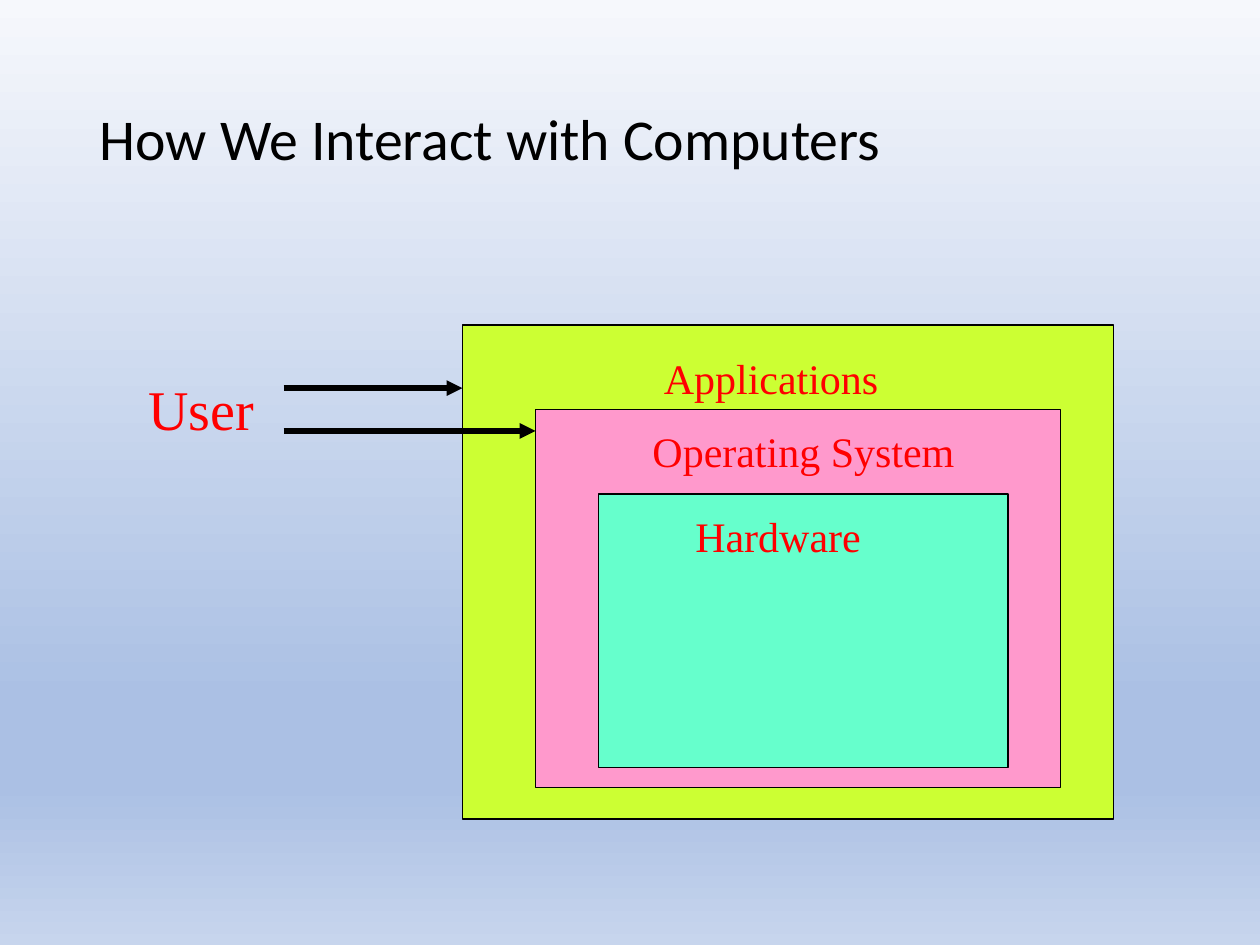
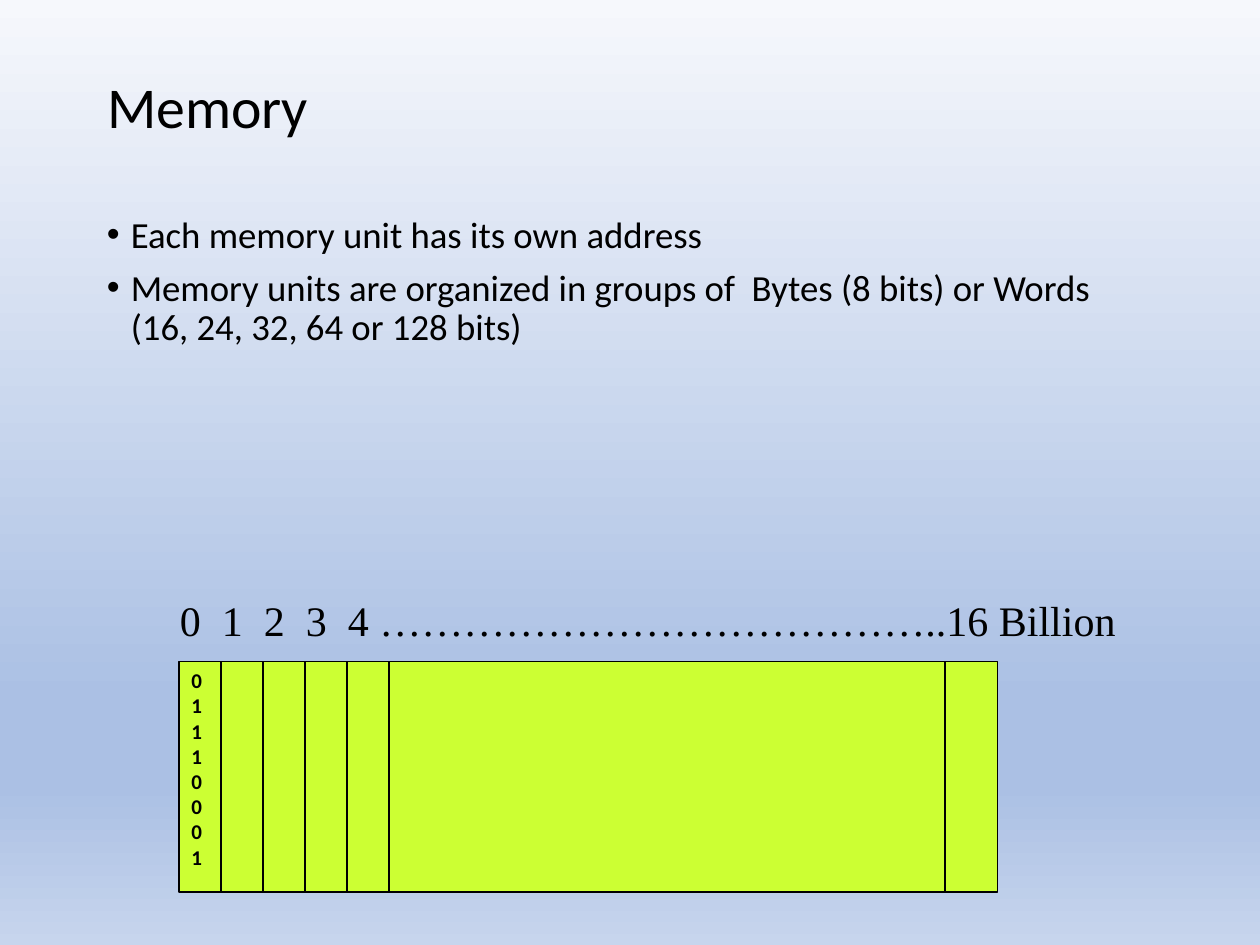
from dataclasses import dataclass

from lxml.etree import SubElement
from pptx import Presentation
from pptx.dml.color import RGBColor
from pptx.enum.shapes import MSO_CONNECTOR, MSO_SHAPE
from pptx.enum.text import MSO_ANCHOR, MSO_AUTO_SIZE, PP_ALIGN
from pptx.oxml.ns import qn
from pptx.util import Inches, Pt

COLORS = {
    "ink": "000000",
    "label": "FF0000",
    "lime": "CCFF33",
    "pink": "FF99CC",
    "aqua": "66FFCC",
    "sky_top": "F6F8FC",
    "sky_deep": "ABC0E4",
    "sky_base": "C7D5ED",
}
BACKDROP = [(0, "sky_top"), (74, "sky_deep"), (83, "sky_deep"), (100, "sky_base")]
SANS, SERIF = "Calibri", "Times New Roman"


@dataclass
class Box:
    left: float
    top: float
    width: float
    height: float

    def inside(self, left, top, width, height):
        return Box(self.left + left, self.top + top, width, height)

    def lengths(self):
        return [Inches(side) for side in (self.left, self.top, self.width, self.height)]


def color(name):
    return RGBColor.from_string(COLORS[name])


def paint_backdrop(master):
    fill = master.background.fill
    fill.gradient()
    fill.gradient_angle = 270
    stops = master.element.find(".//" + qn("a:gsLst"))
    for stop in list(stops):
        stops.remove(stop)
    for percent, name in BACKDROP:
        stop = SubElement(stops, qn("a:gs"), pos=str(percent * 1000))
        SubElement(stop, qn("a:srgbClr"), val=COLORS[name])


def write(paragraph, text, size, font=SANS, ink="ink", bold=False):
    paragraph.alignment = PP_ALIGN.LEFT
    run = paragraph.add_run()
    run.text = text
    run.font.size = Pt(size)
    run.font.name = font
    run.font.bold = bold
    run.font.color.rgb = color(ink)


def add_title(slide, box, text):
    title = slide.shapes.title
    title.left, title.top, title.width, title.height = box.lengths()
    frame = title.text_frame
    frame.auto_size = MSO_AUTO_SIZE.NONE
    frame.vertical_anchor = MSO_ANCHOR.MIDDLE
    frame.paragraphs[0].line_spacing = 0.9
    write(frame.paragraphs[0], text, 33)


def add_frame(slide, box):
    frame = slide.shapes.add_textbox(*box.lengths()).text_frame
    frame.word_wrap = True
    return frame


def add_paragraphs(frame, lines):
    for index, line in enumerate(lines):
        yield frame.add_paragraph() if index else frame.paragraphs[0], line


def add_label(slide, box, text, size=24):
    write(add_frame(slide, box).paragraphs[0], text, size, SERIF, "label")


def add_block(slide, box, fill):
    block = slide.shapes.add_shape(MSO_SHAPE.RECTANGLE, *box.lengths())
    block.shadow.inherit = False
    block.fill.solid()
    block.fill.fore_color.rgb = color(fill)
    block.line.color.rgb = color("ink")
    block.line.width = Pt(0.75)


def add_line(slide, start, end, width=0.75, arrow=False):
    points = [Inches(value) for value in (*start, *end)]
    line = slide.shapes.add_connector(MSO_CONNECTOR.STRAIGHT, *points)
    line.line.color.rgb = color("ink")
    line.line.width = Pt(width)
    properties = line.element.spPr
    if arrow:
        SubElement(properties.find(qn("a:ln")), qn("a:tailEnd"), type="triangle")
    SubElement(properties, qn("a:effectLst"))


def add_layers(slide, box):
    layers = [
        ("Applications", "lime", (0, 0, 5.17, 3.92), (1.5, 0.17, 2.08, 0.5)),
        ("Operating System", "pink", (0.58, 0.67, 4.17, 3), (1.41, 0.75, 2.83, 0.5)),
        ("Hardware", "aqua", (1.08, 1.34, 3.25, 2.17), (1.75, 1.42, 1.67, 0.5)),
    ]
    for name, fill, area, label in layers:
        add_block(slide, box.inside(*area), fill)
        add_label(slide, box.inside(*label), name)


def add_user(slide, box, reaches):
    add_label(slide, Box(box.left, box.top, 1.08, box.height), "User", 32)
    for drop, reach in reaches:
        level = box.top + drop
        add_line(slide, (box.left + 1.17, level), (reach, level), 3, arrow=True)


def add_bullets(slide, box, lines):
    for paragraph, line in add_paragraphs(add_frame(slide, box), lines):
        properties = paragraph._p.get_or_add_pPr()
        properties.set("marL", str(Inches(0.19)))
        properties.set("indent", str(-Inches(0.19)))
        SubElement(properties, qn("a:buFont"), typeface="Arial")
        SubElement(properties, qn("a:buChar"), char="•")
        paragraph.line_spacing = 0.9
        if line != lines[0]:
            paragraph.space_before = Pt(7.5)
        write(paragraph, line, 21)


def add_addresses(slide, box, pitch):
    paragraph = add_frame(slide, box).paragraphs[0]
    tabs = SubElement(paragraph._p.get_or_add_pPr(), qn("a:tabLst"))
    for unit in range(1, 5):
        SubElement(tabs, qn("a:tab"), pos=str(Inches(unit * pitch)), algn="l")
    write(paragraph, "0\t1\t2\t3\t4 …………………………………..16 Billion", 24, SERIF)


def add_memory(slide, box, bits):
    pitch = 1 / 3
    add_block(slide, box, "lime")
    for offset in [unit * pitch for unit in range(1, 6)] + [6.08]:
        edge = box.left + offset
        add_line(slide, (edge, box.top), (edge, box.top + box.height))
    add_addresses(slide, box.inside(-0.09, -0.58, 7.83, 0.5), pitch)
    cell = add_frame(slide, box.inside(0, 0, pitch, 1.72))
    for paragraph, bit in add_paragraphs(cell, bits):
        write(paragraph, bit, 12, bold=True)


def build_interaction(slide):
    add_title(slide, Box(0.69, 0.4, 8.62, 1.45), "How We Interact with Computers")
    add_layers(slide, Box(3.67, 2.58, 5.17, 3.92))
    add_user(slide, Box(1.08, 2.92, 3.17, 0.63), [(0.5, 4.25), (0.16, 3.67)])


def build_memory(slide):
    add_title(slide, Box(0.75, 0.25, 8.5, 1.25), "Memory")
    add_bullets(slide, Box(0.75, 1.67, 8.5, 4.5), [
        "Each memory unit has its own address",
        "Memory units are organized in groups of  Bytes (8 bits) or Words "
        "(16, 24, 32, 64 or 128 bits)",
    ])
    add_memory(slide, Box(1.42, 5.25, 6.5, 1.83), "01110001")


def main():
    deck = Presentation()
    deck.slide_width, deck.slide_height = Inches(10), Inches(7.5)
    paint_backdrop(deck.slide_master)
    title_only = deck.slide_layouts.get_by_name("Title Only")
    for build in (build_interaction, build_memory):
        build(deck.slides.add_slide(title_only))
    deck.save("out.pptx")


if __name__ == "__main__":
    main()
